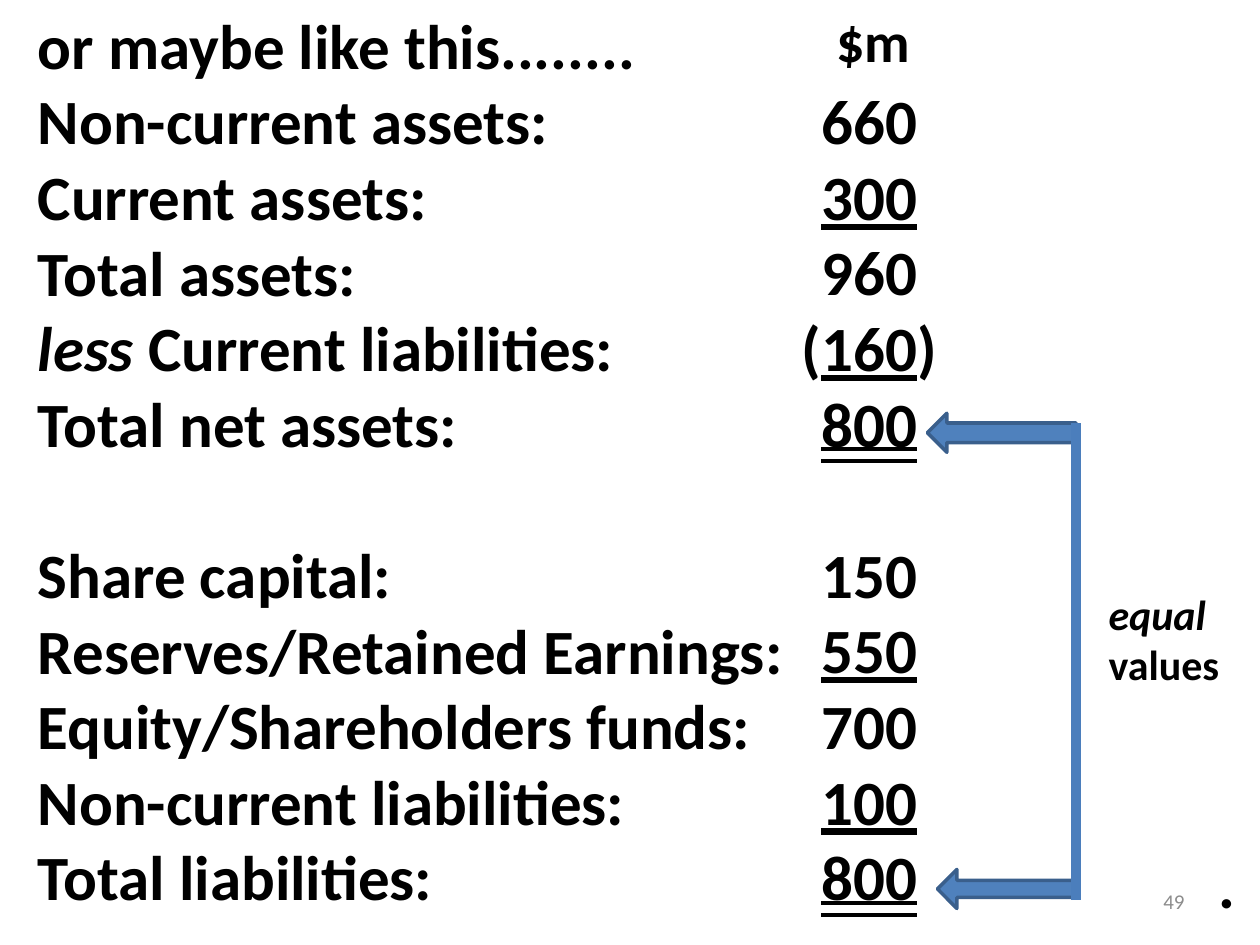
from dataclasses import dataclass

import lxml.etree
import pptx
import pptx.dml.color
import pptx.enum.shapes
import pptx.enum.text
import pptx.oxml.ns
import pptx.util

Inches = pptx.util.Inches
Pt = pptx.util.Pt
Align = pptx.enum.text.PP_ALIGN
Anchor = pptx.enum.text.MSO_ANCHOR
Underline = pptx.enum.text.MSO_UNDERLINE


@dataclass(frozen=True)
class Theme:
    font: str = "Calibri"
    text: str = "000000"
    muted: str = "8C8C8C"
    arrow: str = "4F81BD"
    arrow_edge: str = "3A5F8C"
    bracket: str = "4B7EBC"
    statement_size: float = 36
    unit_size: float = 32
    note_size: float = 24
    number_size: float = 12
    row_pitch: float = 43.2


@dataclass(frozen=True)
class Span:
    text: str
    italic: bool = False
    underline: Underline | None = None


@dataclass(frozen=True)
class Row:
    label: str
    value: str
    underline: Underline | None = None
    prefix: str = ""  # italic lead-in to the label
    negative: bool = False
    new_section: bool = False

    def label_spans(self) -> list[Span]:
        lead = [Span(self.prefix, italic=True)] if self.prefix else []
        return lead + [Span(self.label)]

    def value_spans(self) -> list[Span]:
        amount = Span(self.value, underline=self.underline)
        return [Span("("), amount, Span(")")] if self.negative else [amount]


@dataclass(frozen=True)
class Arrow:
    left: float
    top: float
    shaft: float


THEME = Theme()
STATEMENT_TOP = 0.6
STATEMENT_HEIGHT = 6.77
BRACKET_X = 8.54
ROWS = [
    Row("Non-current assets:", "660"),
    Row("Current assets:", "300", Underline.SINGLE_LINE),
    Row("Total assets:", "960"),
    Row(" Current liabilities:", "160", Underline.SINGLE_LINE, prefix="less", negative=True),
    Row("Total net assets:", "800", Underline.DOUBLE_LINE),
    Row("Share capital:", "150", new_section=True),
    Row("Reserves/Retained Earnings:", "550", Underline.SINGLE_LINE),
    Row("Equity/Shareholders funds:", "700"),
    Row("Non-current liabilities:", "100", Underline.SINGLE_LINE),
    Row("Total liabilities:", "800", Underline.DOUBLE_LINE),
]
ARROWS = [Arrow(7.36, 3.28, 0.5), Arrow(7.44, 6.9, 0.44)]


def colour(value: str) -> pptx.dml.color.RGBColor:
    return pptx.dml.color.RGBColor.from_string(value)


def place(shape, left: float, top: float, width: float, height: float) -> None:
    shape.left, shape.top = Inches(left), Inches(top)
    shape.width, shape.height = Inches(width), Inches(height)


def set_font(para, size: float, value: str = THEME.text, bold: bool = True) -> None:
    para.font.name = THEME.font
    para.font.size = Pt(size)
    para.font.bold = bold
    para.font.color.rgb = colour(value)


def add_spans(para, spans: list[Span]) -> None:
    for part in spans:
        span = para.add_run()
        span.text = part.text
        if part.italic:
            span.font.italic = True
        if part.underline is not None:
            span.font.underline = part.underline


def remove_bullet(para) -> None:
    properties = para._p.get_or_add_pPr()
    properties.set("marL", "0")
    properties.set("indent", "0")
    lxml.etree.SubElement(properties, pptx.oxml.ns.qn("a:buNone"))


def prepare_frame(shape):
    frame = shape.text_frame
    frame.word_wrap = True
    frame.auto_size = pptx.enum.text.MSO_AUTO_SIZE.NONE
    frame.vertical_anchor = Anchor.TOP
    return frame


def set_title(title, text: str) -> None:
    place(title, 0.2, 0, 6, 0.65)
    para = prepare_frame(title).paragraphs[0]
    para.text = text
    para.alignment = Align.LEFT
    para.line_spacing = Pt(THEME.row_pitch)
    set_font(para, THEME.statement_size)


def fill_column(shape, cells: list[list[Span]], align: Align) -> None:
    """Write one statement column; both columns share the same row pitch."""
    frame = prepare_frame(shape)
    for index, (row, spans) in enumerate(zip(ROWS, cells)):
        para = frame.add_paragraph() if index else frame.paragraphs[0]
        remove_bullet(para)
        para.alignment = align
        para.line_spacing = Pt(THEME.row_pitch)
        para.space_before = Pt(THEME.row_pitch if row.new_section else 0)
        set_font(para, THEME.statement_size)
        add_spans(para, spans)


def add_statement(page) -> None:
    labels = page.placeholders[1]
    place(labels, 0.2, STATEMENT_TOP, 6.2, STATEMENT_HEIGHT)
    fill_column(labels, [row.label_spans() for row in ROWS], Align.LEFT)
    values = page.shapes.add_textbox(
        Inches(6.2), Inches(STATEMENT_TOP), Inches(1.4), Inches(STATEMENT_HEIGHT))
    fill_column(values, [row.value_spans() for row in ROWS], Align.CENTER)


def add_text(page, area: tuple[float, float, float, float], lines: list[Span],
             size: float, value: str = THEME.text, bold: bool = True,
             align: Align = Align.LEFT, anchor: Anchor = Anchor.TOP) -> None:
    box = page.shapes.add_textbox(*map(Inches, area))
    frame = prepare_frame(box)
    frame.vertical_anchor = anchor
    for index, line in enumerate(lines):
        para = frame.add_paragraph() if index else frame.paragraphs[0]
        para.alignment = align
        set_font(para, size, value, bold)
        add_spans(para, [line])


def add_arrow(page, arrow: Arrow) -> None:
    """Draw a block arrow from the bracket back to a total."""
    shape = page.shapes.add_shape(
        pptx.enum.shapes.MSO_SHAPE.LEFT_ARROW, Inches(arrow.left), Inches(arrow.top),
        Inches(BRACKET_X - arrow.left), Inches(0.31))
    shape.adjustments[0] = arrow.shaft
    shape.shadow.inherit = False
    shape.fill.solid()
    shape.fill.fore_color.rgb = colour(THEME.arrow)
    shape.line.color.rgb = colour(THEME.arrow_edge)
    shape.line.width = Pt(2)


def add_bracket(page) -> None:
    line = page.shapes.add_connector(
        pptx.enum.shapes.MSO_CONNECTOR.STRAIGHT,
        Inches(BRACKET_X), Inches(3.36), Inches(BRACKET_X), Inches(7.14))
    line.line.color.rgb = colour(THEME.bracket)
    line.line.width = Pt(6)
    lxml.etree.SubElement(line._element.spPr, pptx.oxml.ns.qn("a:effectLst"))


def main() -> None:
    deck = pptx.Presentation()
    deck.slide_width, deck.slide_height = Inches(10), Inches(7.5)
    page = deck.slides.add_slide(deck.slide_layouts[1])
    set_title(page.shapes.title, "or maybe like this........")
    add_statement(page)
    for arrow in ARROWS:
        add_arrow(page, arrow)
    add_bracket(page)
    add_text(page, (8.7, 4.62, 1.2, 0.9), [Span("equal", italic=True), Span("values")],
             THEME.note_size)
    add_text(page, (6.43, 0, 1, 0.64), [Span("$m")], THEME.unit_size, align=Align.CENTER)
    add_text(page, (7.17, 6.95, 2.33, 0.4), [Span("49")], THEME.number_size,
             THEME.muted, bold=False, align=Align.RIGHT, anchor=Anchor.MIDDLE)
    add_text(page, (9.57, 6.66, 0.5, 0.71), [Span(".")], THEME.statement_size)
    deck.save("out.pptx")


if __name__ == "__main__":
    main()
